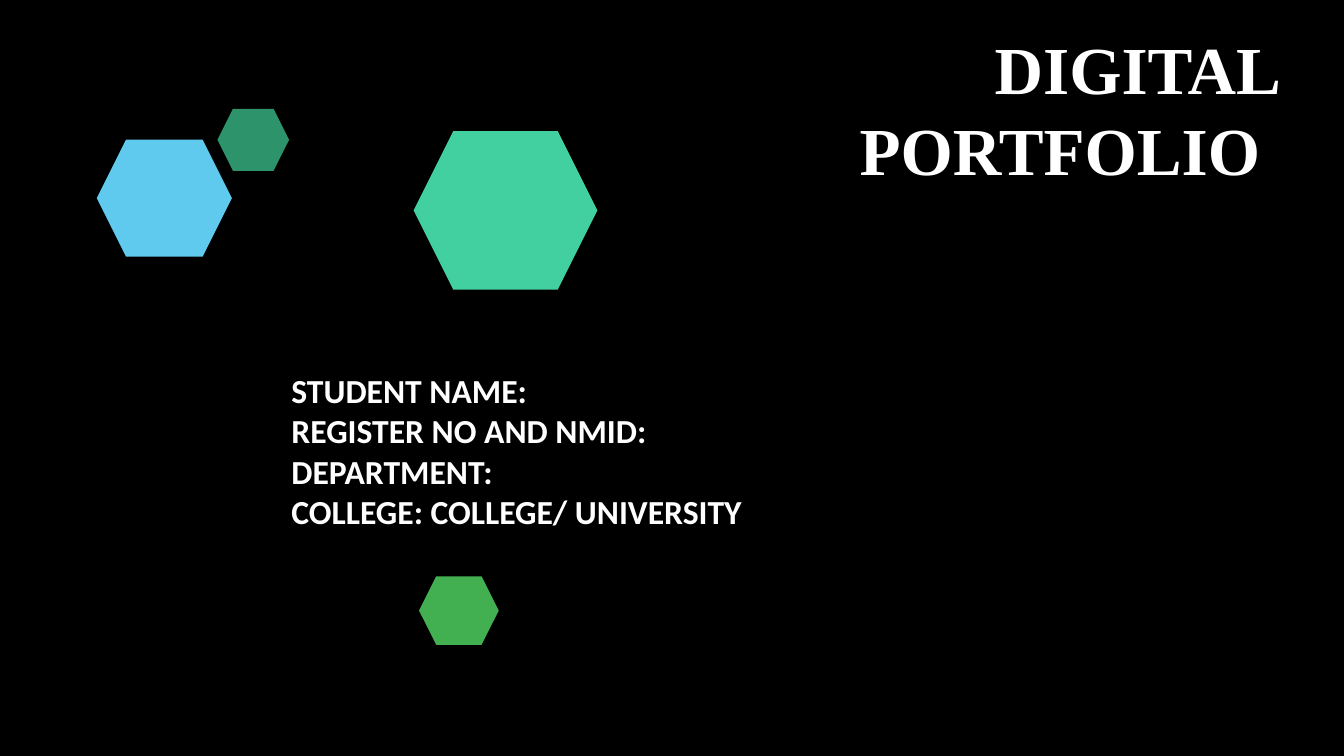
"""Build the cover slide of a digital portfolio."""
from pptx import Presentation
from pptx.dml.color import RGBColor
from pptx.enum.shapes import MSO_SHAPE
from pptx.enum.text import MSO_ANCHOR, PP_ALIGN
from pptx.util import Inches, Pt

HUES = {"black": "000000", "white": "FFFFFF", "sky": "5FCAEE",
        "pine": "2D936B", "mint": "42D0A1", "leaf": "42AF51"}

deck = Presentation()
deck.slide_width, deck.slide_height = Inches(13.33), Inches(7.5)
wide, high = deck.slide_width / 100, deck.slide_height / 100
slide = deck.slides.add_slide(deck.slide_layouts[6])


def paint(fill, hue):
    fill.solid()
    fill.fore_color.rgb = RGBColor.from_string(HUES[hue])


def write(left, top, width, height, text, font, size):
    box = slide.shapes.add_textbox(
        int(left * wide), int(top * high), int(width * wide), int(height * high))
    frame = box.text_frame
    frame.word_wrap = True
    frame.text = text
    for para in frame.paragraphs:
        for run in para.runs:
            run.font.name, run.font.size, run.font.bold = font, Pt(size), True
            run.font.color.rgb = RGBColor.from_string(HUES["white"])
    return frame


paint(slide.background.fill, "black")

for hue, left, top, width, height in [
    ("sky", 7.2, 18.47, 10.05, 15.47),
    ("pine", 16.18, 14.4, 5.33, 8.2),
    ("mint", 30.78, 17.33, 13.67, 21),
    ("leaf", 31.18, 76.23, 5.93, 9.07),
]:
    hexa = slide.shapes.add_shape(
        MSO_SHAPE.HEXAGON, int(left * wide), int(top * high),
        int(width * wide), int(height * high))
    hexa.shadow.inherit = False
    paint(hexa.fill, hue)
    hexa.line.fill.background()

title = write(35.03, 2.93, 60.01, 32.53, "DIGITAL PORTFOLIO ", "Times New Roman", 48)
title.vertical_anchor = MSO_ANCHOR.TOP
title.margin_left = int(26.33 * wide)
title.margin_right = title.margin_bottom = 0
title.margin_top = int(0.67 * high)
title.paragraphs[0].alignment = PP_ALIGN.RIGHT

fields = ["STUDENT NAME:", "REGISTER NO AND NMID:", "DEPARTMENT:",
          "COLLEGE: COLLEGE/ UNIVERSITY"]
write(20.95, 48.27, 70.67, 28.27, "\n".join(fields), "Calibri", 24)

deck.save("out.pptx")
